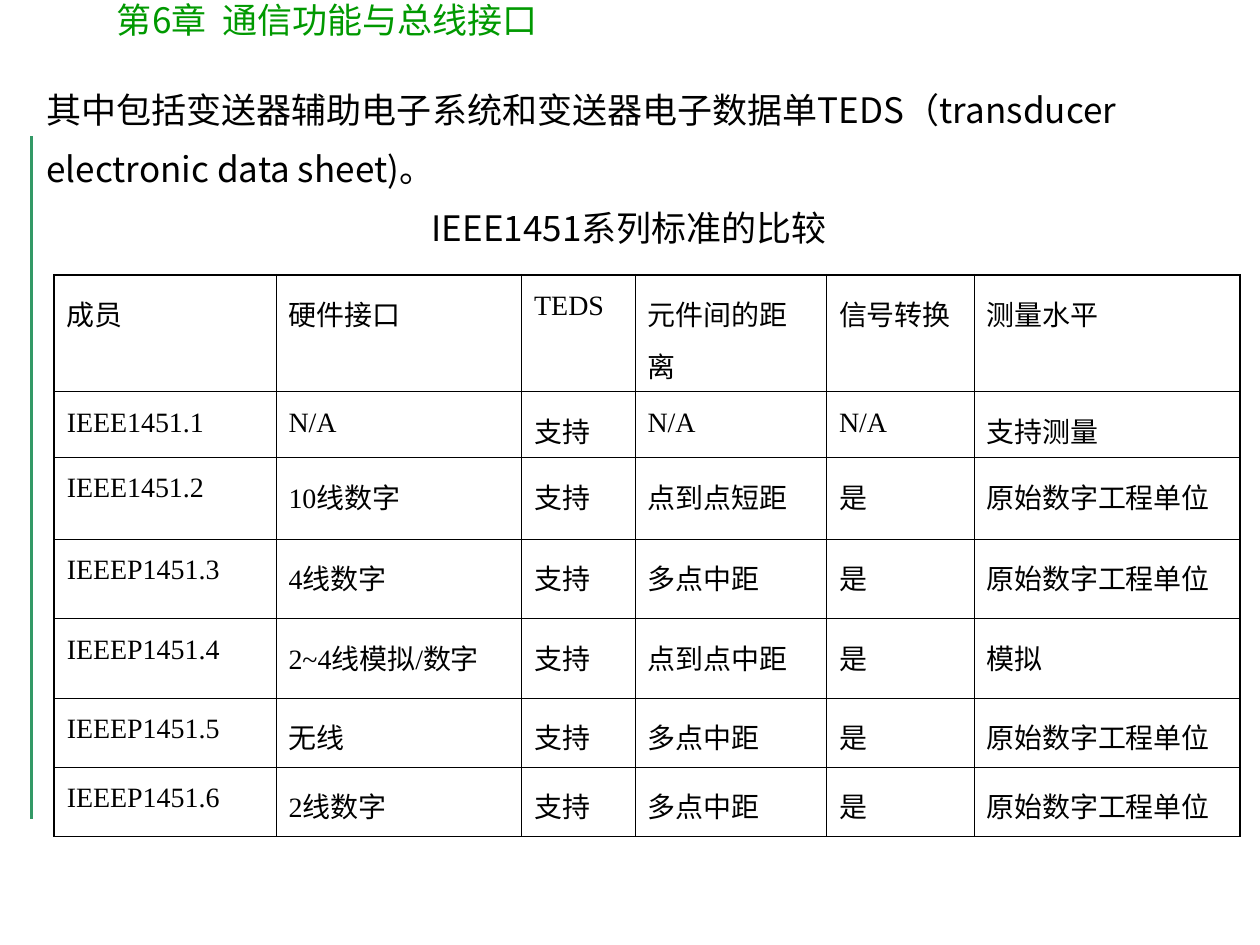
from dataclasses import dataclass

from lxml import etree
from pptx import Presentation
from pptx import util as u
from pptx.dml import color
from pptx.enum import shapes, text
from pptx.oxml import ns


@dataclass(frozen=True)
class Theme:
    title: str = "009900"
    rule: str = "339966"
    ink: str = "000000"
    sans: str = "Noto Sans CJK SC"
    serif: str = "Times New Roman"
    body_size: int = 20
    cell_size: int = 16
    rule_width: float = 2.25
    outer_border: float = 1.08
    inner_border: float = 0.45


theme = Theme()


def write(p, content, size=theme.body_size, font=theme.sans, ink=theme.ink,
          align=text.PP_ALIGN.LEFT, spacing=1.0):
    p.alignment = align
    p.line_spacing = spacing
    r = p.add_run()
    r.text = content
    r.font.size = u.Pt(size)
    r.font.name = font
    r.font.color.rgb = color.RGBColor.from_string(ink)
    ea = etree.SubElement(r.font._element, ns.qn("a:ea"))
    ea.set("typeface", theme.sans)


def set_border(tc_pr, side, width):
    ln = etree.SubElement(tc_pr, ns.qn(f"a:ln{side}"), w=str(u.Pt(width)))
    fill = etree.SubElement(ln, ns.qn("a:solidFill"))
    etree.SubElement(fill, ns.qn("a:srgbClr"), val=theme.ink)


prs = Presentation()
prs.slide_width, prs.slide_height = u.Inches(10), u.Inches(7.5)
s = prs.slides.add_slide(prs.slide_layouts[6])

# Vertical rule at the left
rule = s.shapes.add_connector(shapes.MSO_CONNECTOR.STRAIGHT, u.Inches(0.25),
                              u.Inches(1.08), u.Inches(0.25), u.Inches(6.5))
rule.line.color.rgb = color.RGBColor.from_string(theme.rule)
rule.line.width = u.Pt(theme.rule_width)
etree.SubElement(rule._element.spPr, ns.qn("a:effectLst"))

# Chapter title, then introduction with the table caption
text_boxes = [
    ((0.83, -0.06, 5.75, 0.44),
     [("第6章  通信功能与总线接口", dict(ink=theme.title))]),
    ((0.27, 0.52, 9.45, 1.5),
     [("其中包括变送器辅助电子系统和变送器电子数据单TEDS（transducer electronic data sheet)。",
       dict(spacing=1.4)),
      ("IEEE1451系列标准的比较",
       dict(spacing=1.4, align=text.PP_ALIGN.CENTER))]),
]
for box, paragraphs in text_boxes:
    sp = s.shapes.add_textbox(*map(u.Inches, box))
    tf = sp.text_frame
    tf.word_wrap = True
    tf.auto_size = text.MSO_AUTO_SIZE.SHAPE_TO_FIT_TEXT
    for i, (content, style) in enumerate(paragraphs):
        p = tf.add_paragraph() if i else tf.paragraphs[0]
        write(p, content, **style)

# Comparison table
standards = [
    ["成员", "硬件接口", "TEDS", "元件间的距离", "信号转换", "测量水平"],
    ["IEEE1451.1", "N/A", "支持", "N/A", "N/A", "支持测量"],
    ["IEEE1451.2", "10线数字", "支持", "点到点短距", "是", "原始数字工程单位"],
    ["IEEEP1451.3", "4线数字", "支持", "多点中距", "是", "原始数字工程单位"],
    ["IEEEP1451.4", "2~4线模拟/数字", "支持", "点到点中距", "是", "模拟"],
    ["IEEEP1451.5", "无线", "支持", "多点中距", "是", "原始数字工程单位"],
    ["IEEEP1451.6", "2线数字", "支持", "多点中距", "是", "原始数字工程单位"],
]
col_widths = [1.76, 1.95, 0.9, 1.52, 1.17, 2.11]
row_heights = [0.93, 0.52, 0.65, 0.63, 0.63, 0.55, 0.55]
table = s.shapes.add_table(len(row_heights), len(col_widths),
                           u.Inches(0.43), u.Inches(2.18),
                           u.Inches(sum(col_widths)),
                           u.Inches(sum(row_heights))).table
table.first_row = table.horz_banding = False
for column, width in zip(table.columns, col_widths):
    column.width = u.Inches(width)
for row, height in zip(table.rows, row_heights):
    row.height = u.Inches(height)

last_row, last_col = len(row_heights) - 1, len(col_widths) - 1
for i, values in enumerate(standards):
    for j, value in enumerate(values):
        cell = table.cell(i, j)
        write(cell.text_frame.paragraphs[0], value, size=theme.cell_size,
              font=theme.serif, spacing=1.3)
        # Heavier lines on the outer edge only
        on_edge = {"L": j == 0, "R": j == last_col,
                   "T": i == 0, "B": i == last_row}
        tc_pr = cell._tc.get_or_add_tcPr()
        for side, outer in on_edge.items():
            set_border(tc_pr, side,
                       theme.outer_border if outer else theme.inner_border)
        cell.fill.background()

prs.save("out.pptx")
